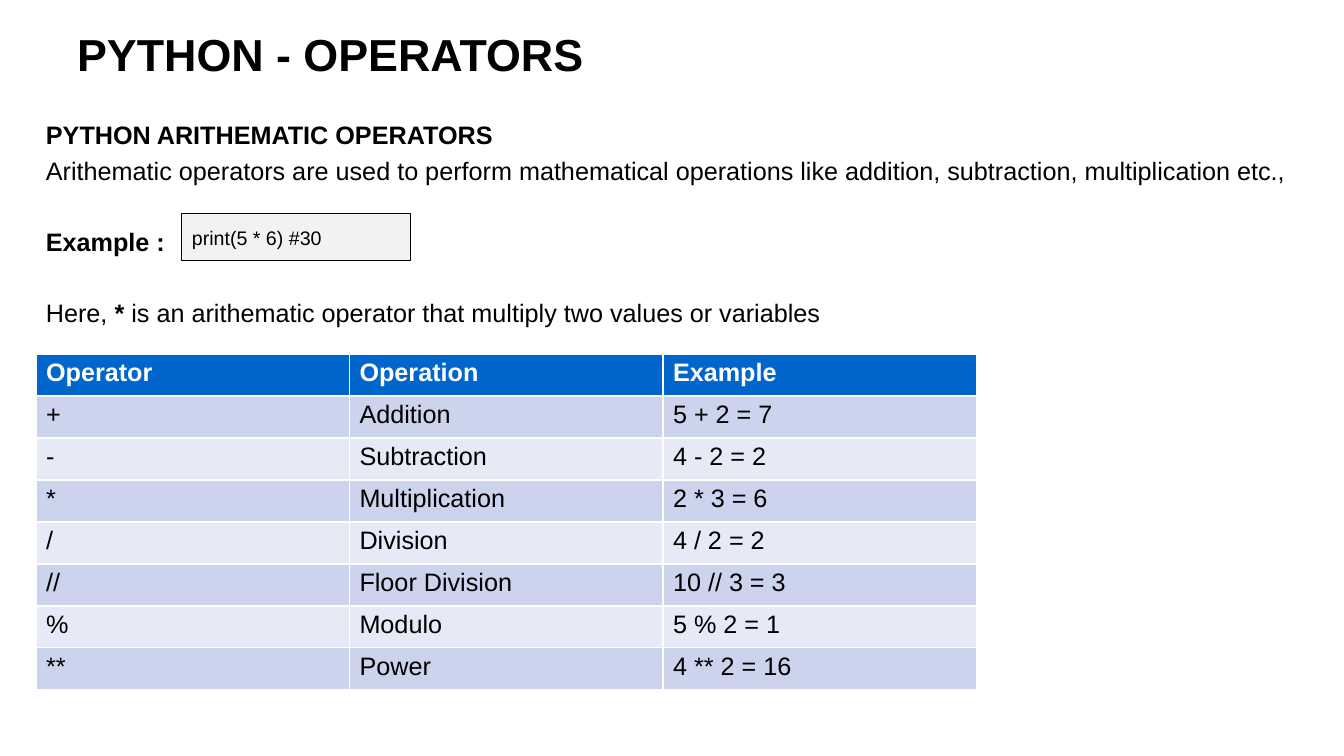
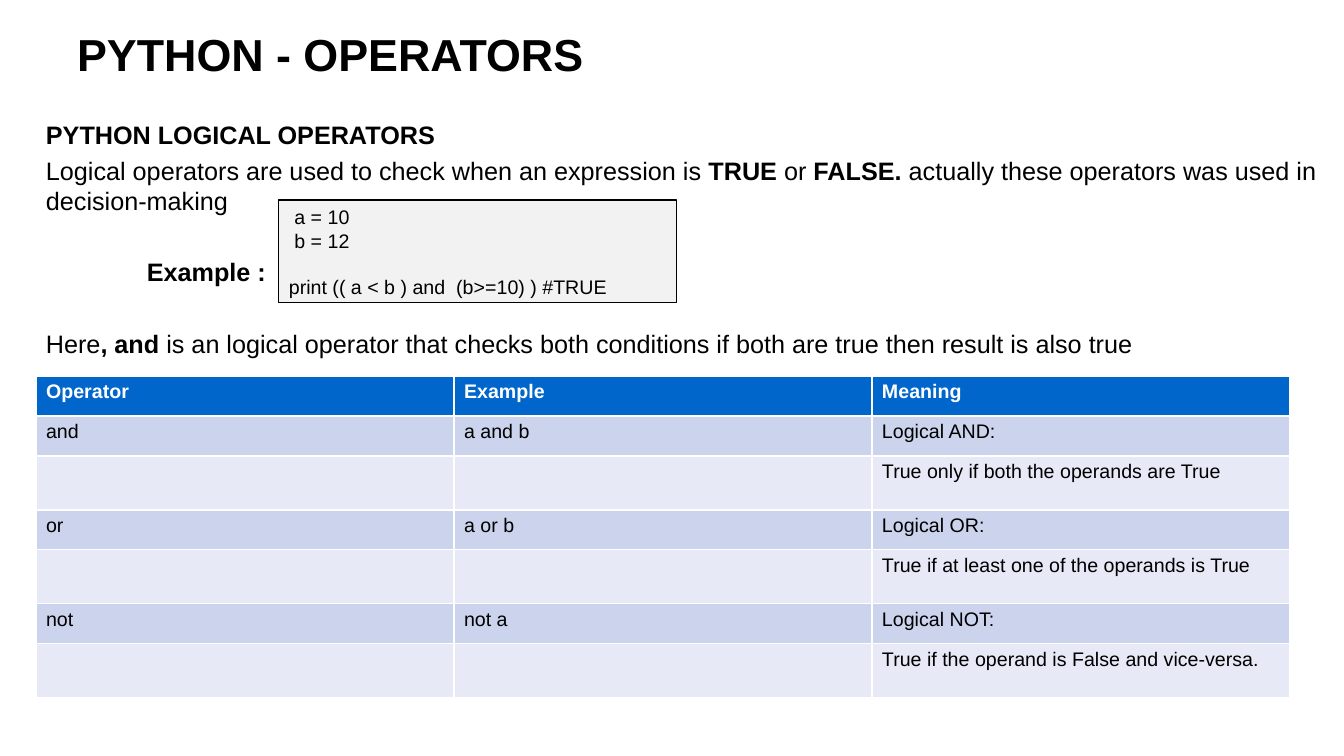
from pptx import Presentation
from pptx import util as u
from pptx.dml.color import RGBColor
from pptx.enum import shapes, text

PX = 914400 / 100.8
FONT = "Arial"
COLORS = {"ink": "000000", "paper": "FFFFFF", "code": "F2F2F2",
          "header": "0066CC", "odd": "CCD3EC", "even": "E7EAF6"}
TITLE_BOX = (67, 21, 1210, 65)
BODY_BOX = (36, 114, 1296, 626)
LINE_GAP = 4.3    # points between body paragraphs
BLOCK_GAP = 29.3  # points between body blocks

OPERATOR_SLIDES = [
    {
        "heading": "PYTHON ARITHEMATIC OPERATORS",
        # Body runs alternate between regular and bold
        "intro": ("Arithematic operators are used to perform mathematical operations "
                  "like addition, subtraction, multiplication etc.,",),
        "label_indent": 0,
        "remark": ("Here, ", "* ",
                   "is an arithematic operator that multiply two values or variables"),
        "code_box": (182, 214, 229, 47),
        "code": [("print(5 * 6) #30", 0)],
        "table_at": (36, 354),
        "column": 313.5,
        "heights": [42] * 8,
        "size": 18,
        "rows": [
            ("Operator", "Operation", "Example"),
            ("+", "Addition", "5 + 2 = 7"),
            ("-", "Subtraction", "4 - 2 = 2"),
            ("*", "Multiplication", "2 * 3 = 6"),
            ("/", "Division", "4 / 2 = 2"),
            ("//", "Floor Division", "10 // 3 = 3"),
            ("%", "Modulo", "5 % 2 = 1"),
            ("**", "Power", "4 ** 2 = 16"),
        ],
    },
    {
        "heading": "PYTHON LOGICAL OPERATORS",
        "intro": ("Logical operators are used to check when an expression is ", "TRUE ",
                  "or ", "FALSE. ",
                  "actually these operators was used in decision-making"),
        "label_indent": 101,
        "remark": ("Here", ", and ", "is an logical operator that checks both conditions "
                   "if both are true then result is also true"),
        "code_box": (279, 200, 398, 103),
        "code": [(" a = 10", 0), (" b = 12", 0),
                 ("print (( a < b ) and  (b>=10) ) #TRUE", 16.1)],
        "table_at": (36, 376),
        "column": 418,
        "heights": [40] + [40, 54] * 3,
        "size": 14,
        "rows": [
            ("Operator", "Example", "Meaning"),
            ("and", "a and b", "Logical AND:"),
            ("", "", "True only if both the operands are True"),
            ("or", "a or b", "Logical OR:"),
            ("", "", "True if at least one of the operands is True"),
            ("not", "not a", "Logical NOT:"),
            ("", "", "True if the operand is False and vice-versa."),
        ],
    },
]


def px(value):
    return u.Emu(round(value * PX))


def box_emu(box):
    return [px(value) for value in box]


def rgb(name):
    return RGBColor.from_string(COLORS[name])


def set_all(target, **values):
    for name, value in values.items():
        setattr(target, name, value)


def add_run(paragraph, words, size, bold=False, color="ink"):
    run = paragraph.add_run()
    run.text = words
    set_all(run.font, name=FONT, size=u.Pt(size), bold=bold)
    run.font.color.rgb = rgb(color)


def next_paragraph(frame, index, gap):
    paragraph = frame.add_paragraph() if index else frame.paragraphs[0]
    set_all(paragraph, alignment=text.PP_ALIGN.LEFT, space_before=u.Pt(gap))
    return paragraph


def place_title(slide, words):
    title = slide.shapes.title
    set_all(title, **dict(zip(("left", "top", "width", "height"), box_emu(TITLE_BOX))))
    set_all(title.text_frame, word_wrap=True, auto_size=text.MSO_AUTO_SIZE.NONE,
            vertical_anchor=text.MSO_ANCHOR.MIDDLE)
    add_run(next_paragraph(title.text_frame, 0, 0), words, 32, bold=True)


def add_body(slide, box, content):
    frame = slide.shapes.add_textbox(*box_emu(box)).text_frame
    frame.word_wrap = True
    blocks = [
        (("", content["heading"]), 0, 0),
        (content["intro"], LINE_GAP, 0),
        (("", "Example :"), BLOCK_GAP, content["label_indent"]),
        (content["remark"], BLOCK_GAP, 0),
    ]
    for index, (runs, gap, indent) in enumerate(blocks):
        paragraph = next_paragraph(frame, index, gap)
        if indent:
            paragraph._p.get_or_add_pPr().set("marL", str(px(indent)))
        for position, words in enumerate(runs):
            if words:
                add_run(paragraph, words, 18, bold=position % 2 == 1)


def add_code(slide, box, lines):
    panel = slide.shapes.add_shape(shapes.MSO_SHAPE.RECTANGLE, *box_emu(box))
    panel.shadow.inherit = False
    panel.fill.solid()
    panel.fill.fore_color.rgb = rgb("code")
    panel.line.color.rgb = rgb("ink")
    panel.line.width = u.Pt(0.75)
    set_all(panel.text_frame, word_wrap=True, vertical_anchor=text.MSO_ANCHOR.MIDDLE)
    for index, (line, gap) in enumerate(lines):
        add_run(next_paragraph(panel.text_frame, index, gap), line, 14)


def add_operator_table(slide, corner, column, heights, rows, size):
    """White cell borders come from the default table style."""
    columns = len(rows[0])
    box = (*corner, column * columns, sum(heights))
    table = slide.shapes.add_table(len(rows), columns, *box_emu(box)).table
    for table_column in table.columns:
        table_column.width = px(column)
    for r, (height, values) in enumerate(zip(heights, rows)):
        table.rows[r].height = px(height)
        band = "header" if r == 0 else ("even", "odd")[r % 2]
        for c, value in enumerate(values):
            cell = table.cell(r, c)
            cell.fill.solid()
            cell.fill.fore_color.rgb = rgb(band)
            if value:
                add_run(cell.text_frame.paragraphs[0], value, size, bold=r == 0,
                        color="ink" if r else "paper")


def add_operator_slide(deck, content):
    slide = deck.slides.add_slide(deck.slide_layouts[5])
    place_title(slide, "PYTHON - OPERATORS")
    add_body(slide, BODY_BOX, content)
    add_code(slide, content["code_box"], content["code"])
    add_operator_table(slide, content["table_at"], content["column"],
                       content["heights"], content["rows"], content["size"])


def main():
    deck = Presentation()
    set_all(deck, slide_width=px(1344), slide_height=px(756))
    for content in OPERATOR_SLIDES:
        add_operator_slide(deck, content)
    deck.save("out.pptx")


if __name__ == "__main__":
    main()
